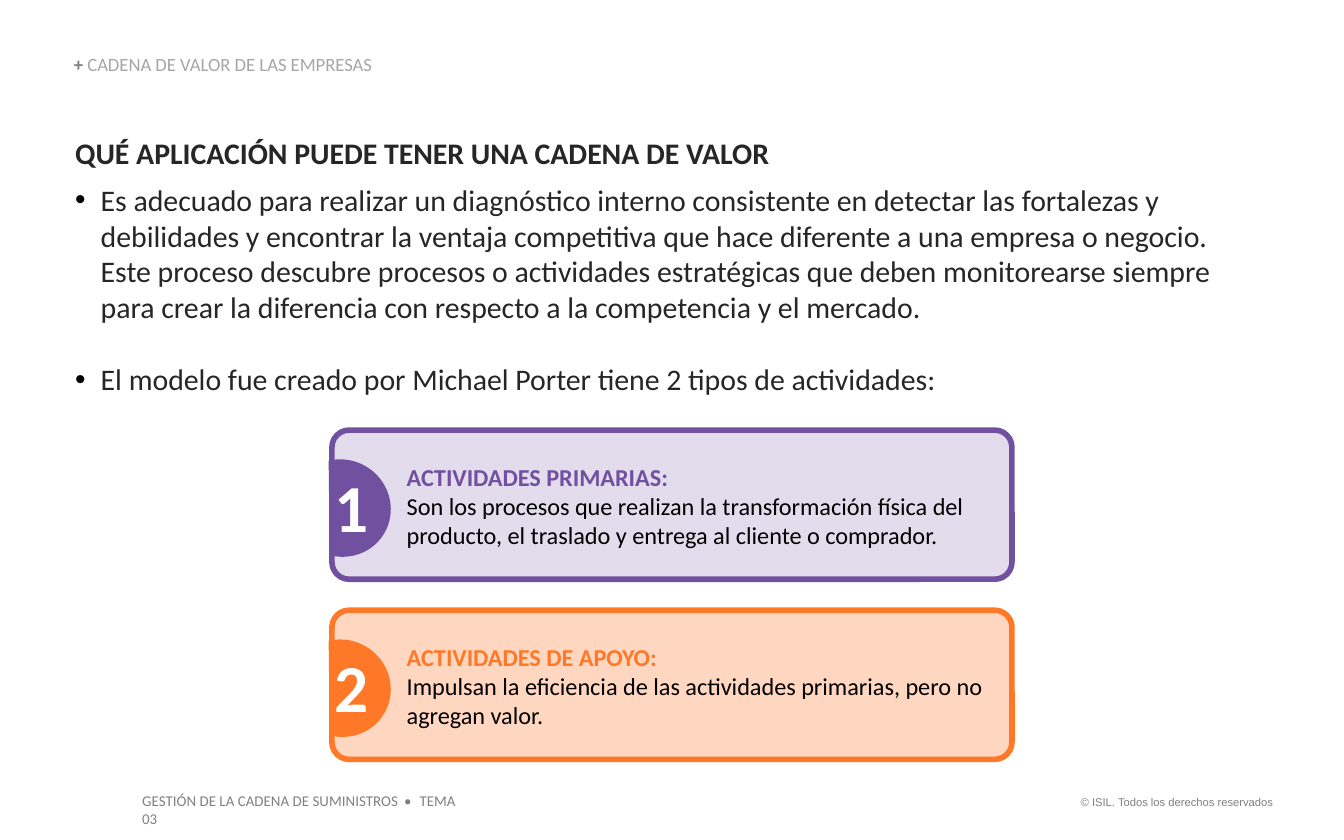
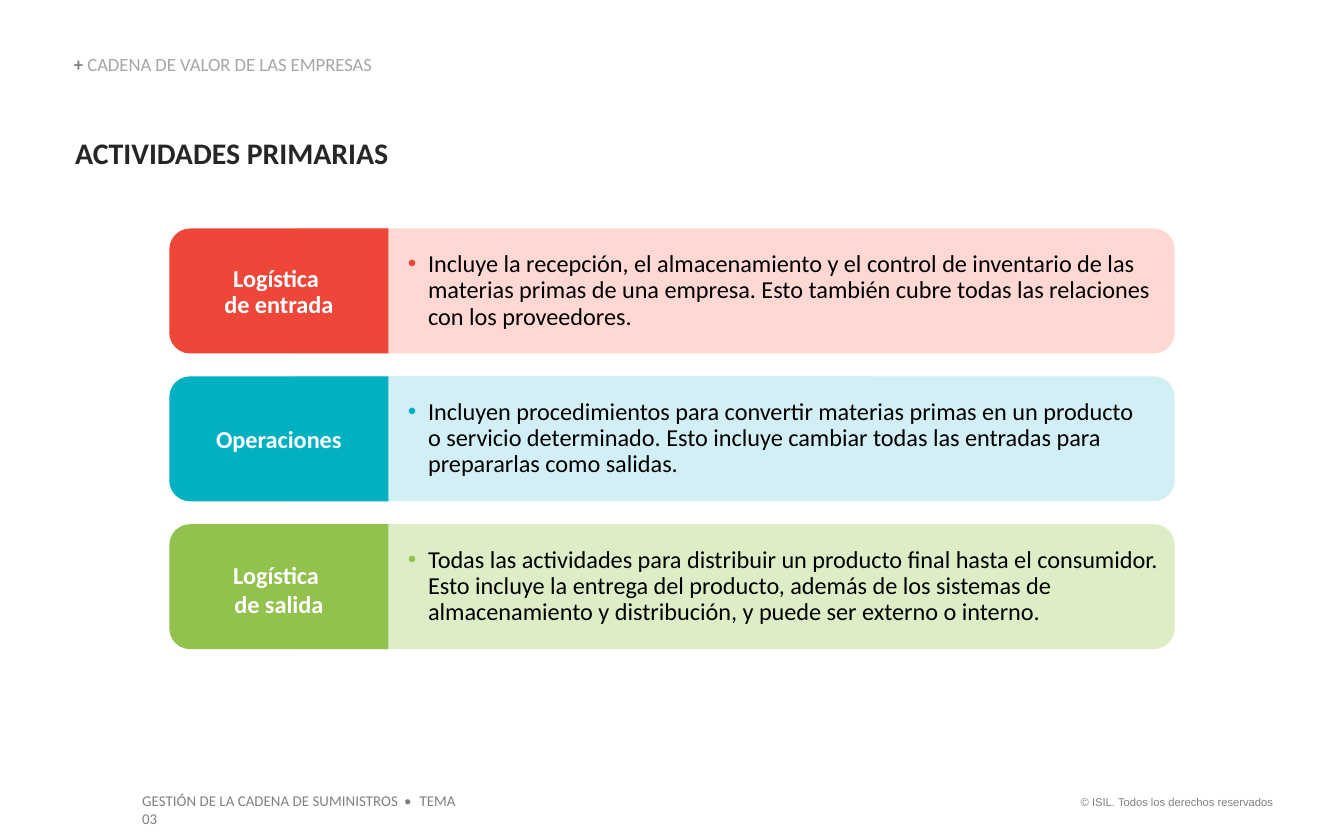
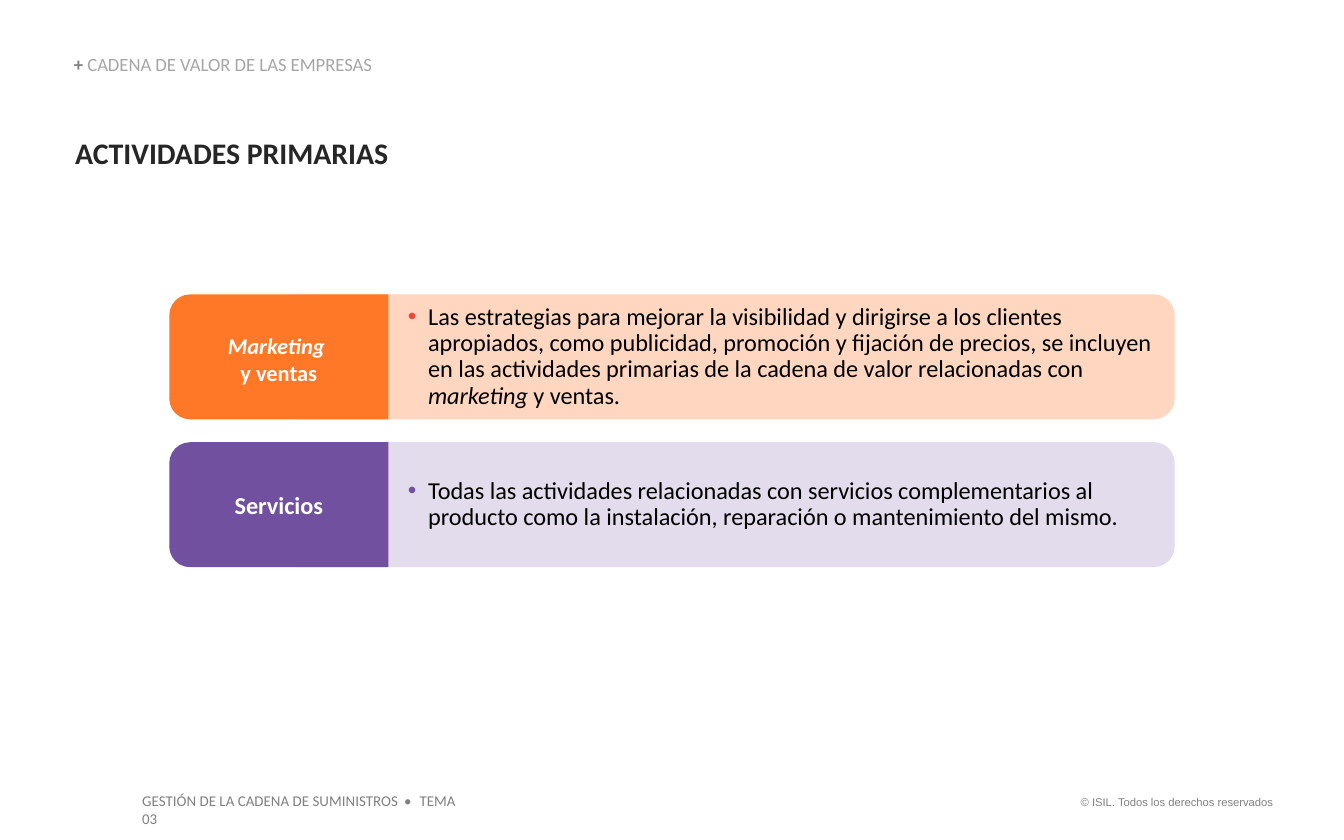
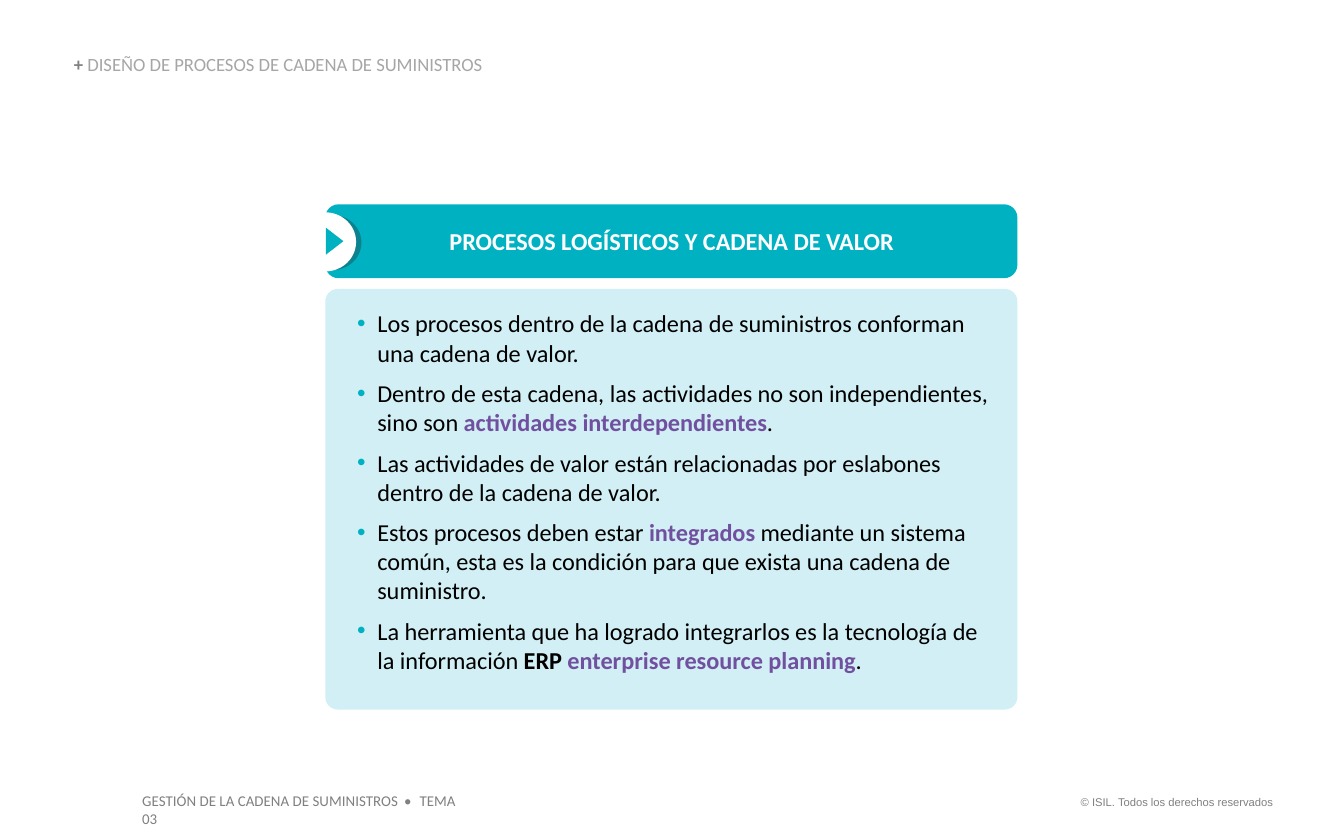
from lxml.etree import SubElement
from pptx import Presentation
from pptx.dml.color import RGBColor
from pptx.enum.shapes import MSO_SHAPE as Kind
from pptx.enum.text import MSO_ANCHOR as Anchor, PP_ALIGN as Align
from pptx.oxml.ns import qn
from pptx.util import Inches, Pt

WIDTH, HEIGHT = Inches(10), Inches(6.25)
CELL = WIDTH / 100  # the grid has 100 columns and 62.5 rows

COLORS = {
    "white": "FFFFFF", "black": "000000", "ink": "262626",
    "gray": "808080", "pale": "A6A6A6",
    "violet": "7150A0", "lilac": "E3DCED",
    "orange": "FE7828", "peach": "FFD7C1",
    "red": "EE4639", "pink": "FFD8D4",
    "teal": "00B1C2", "sky": "D1EFF4", "deep": "0B828E",
    "green": "92C14E", "mint": "DDEEC7",
}
KEY = {"color": "violet", "bold": True}
BOLD = {"bold": True}
ITALIC = {"italic": True}
TITLE = {"size": 16, "color": "ink", "bold": True}
LABEL = {"size": 13, "color": "white", "bold": True}
BODY = {"size": 13, "color": "black"}

BAR_H, BAR_PITCH, TAB_W = 9.3, 11, 16.3


def grid(*cells):
    return [round(cell * CELL) for cell in cells]


def rgb(name):
    return RGBColor.from_string(COLORS[name])


def set_font(font, size, color, name="Calibri", **flags):
    font.size, font.name = Pt(size), name
    font.color.rgb = rgb(color)
    for key, value in flags.items():
        setattr(font, key, value)


def indent(par, left, hang=0, bullet=None):
    """Set the left edge in cells, and a bullet in the named colour."""
    props = par._p.get_or_add_pPr()
    props.set("marL", str(grid(left)[0]))
    props.set("indent", str(grid(-hang)[0]))
    if bullet:
        tint = SubElement(props, qn("a:buClr"))
        SubElement(tint, qn("a:srgbClr"), val=COLORS[bullet])
        SubElement(props, qn("a:buFont"), typeface="Arial")
        SubElement(props, qn("a:buChar"), char="•")


def add_runs(par, parts, style):
    """Write strings, or (string, style changes) pairs; \\n breaks the line."""
    for part in [parts] if isinstance(parts, str) else parts:
        text, extra = (part, {}) if isinstance(part, str) else part
        look = {**style, **extra}
        for i, line in enumerate(text.split("\n")):
            if i:
                par.add_line_break()
                SubElement(par._p[-1], qn("a:rPr"), sz=str(look["size"] * 100))
            if line:
                run = par.add_run()
                run.text = line
                set_font(run.font, **look)


def add_par(frame, parts, style, left=0, hang=0, bullet=None, **form):
    first = frame.paragraphs[0]
    par = frame.add_paragraph() if first.runs else first
    if left:
        indent(par, left, hang, bullet)
    for key, value in form.items():
        setattr(par, key, value)
    add_runs(par, parts, style)
    return par


def set_frame(frame, inset=(0, 0, 0, 0), anchor=Anchor.TOP):
    frame.word_wrap = True
    frame.vertical_anchor = anchor
    for side, value in zip(("left", "top", "right", "bottom"), grid(*inset)):
        setattr(frame, f"margin_{side}", value)
    return frame


def add_text(slide, place, **form):
    return set_frame(slide.shapes.add_textbox(*grid(*place)).text_frame, **form)


def add_form(slide, kind, place, fill, turn=0, line=None, adjust=()):
    form = slide.shapes.add_shape(kind, *grid(*place))
    form.shadow.inherit = False
    form.rotation = turn
    form.fill.solid()
    form.fill.fore_color.rgb = rgb(fill)
    if line:
        form.line.color.rgb, form.line.width = rgb(line), Pt(3)
    else:
        form.line.fill.background()
    for i, value in enumerate(adjust):
        form.adjustments[i] = value
    return form


def add_base(deck, topic):
    """Add a slide with the topic line and the footers."""
    slide = deck.slides.add_slide(deck.slide_layouts[6])
    pad = (1, 0.5, 1, 0.5)
    small = {"size": 6, "color": "gray", "name": "Arial"}
    foot = {"size": 8, "color": "gray"}
    add_par(add_text(slide, (78.8, 58.7, 16.9, 2), inset=pad),
            "© ISIL. Todos los derechos reservados", small, alignment=Align.RIGHT)
    par = add_par(add_text(slide, (9.6, 58.4, 26.6, 2.4), inset=pad),
                  ["GESTIÓN DE LA CADENA DE SUMINISTROS", " • ", "TEMA 03"], foot)
    par.runs[1].font._element.set("spc", "120")
    add_par(add_text(slide, (5.5, 4.1, 46.5, 1.5), anchor=Anchor.BOTTOM),
            [("+ ", {"color": "gray", "bold": True}), topic],
            {"size": 10, "color": "pale"}, line_spacing=0.9)
    return slide


def add_title(slide, text, width=29.3, height=2.7):
    frame = add_text(slide, (5.5, 10, width, height))
    add_par(frame, text, TITLE, left=0.1, space_after=Pt(6))
    return frame


def add_card(slide, top, number, head, text, color, fill):
    card = add_form(slide, Kind.ROUNDED_RECTANGLE, (24.7, top, 50.6, 11.1),
                    fill, line=color, adjust=[0.115])
    frame = set_frame(card.text_frame, inset=(5.1, 2, 0.4, 0.5))
    for words, look in ((head, {"color": color, "bold": True}), (text, {})):
        add_par(frame, words, {**BODY, **look}, left=0.1, alignment=Align.LEFT)
    add_form(slide, Kind.CHORD, (21.7, top + 2.2, 7.4, 7.2), color,
             turn=210, adjust=[27, 152.33])
    add_par(add_text(slide, (23.9, top + 2.1, 4.1, 7.1), inset=(1, 0.5, 1, 0.5)),
            number, {**LABEL, "size": 36})


def add_bar(slide, top, label, drop, text, color, fill, dot=None, look=None, lead=None):
    """Add a described activity; drop is the gap above its label."""
    bar = add_form(slide, Kind.ROUNDED_RECTANGLE, (20.5, top, 66.9, BAR_H), fill)
    frame = set_frame(bar.text_frame, (9.4, 0, 0, 0), Anchor.MIDDLE)
    add_par(frame, text, BODY, left=1.5, hang=1.5, bullet=dot or color,
            line_spacing=0.9, alignment=Align.LEFT)
    shift = (TAB_W - BAR_H) / 2
    add_form(slide, Kind.ROUND_2_SAME_RECTANGLE,
             (12.6 + shift, top - shift, BAR_H, TAB_W), color, turn=270)
    rows = 1 + "".join(p if isinstance(p, str) else p[0] for p in label).count("\n")
    add_par(add_text(slide, (12.6, top + drop, TAB_W, 2.2 * rows)),
            label, {**LABEL, **(look or {})}, alignment=Align.CENTER, line_spacing=lead)


def add_bars(slide, top, bars):
    for i, bar in enumerate(bars):
        add_bar(slide, top + i * BAR_PITCH, **bar)


def add_panel(slide, head, points):
    band = add_form(slide, Kind.ROUNDED_RECTANGLE, (24.2, 15.2, 51.5, 5.5),
                    "teal", adjust=[0.18])
    add_par(set_frame(band.text_frame, (1, 0.5, 1, 0.5), Anchor.MIDDLE),
            head, LABEL, alignment=Align.CENTER)
    panel = add_form(slide, Kind.ROUNDED_RECTANGLE, (24.2, 21.5, 51.5, 31.3),
                     "sky", adjust=[0.03])
    frame = set_frame(panel.text_frame, (1.2, 1.2, 1.2, 0.5))
    for point in points:
        add_par(frame, point, BODY, left=2.4, hang=1.5, bullet="teal",
                space_after=Pt(6), alignment=Align.LEFT)
    add_form(slide, Kind.OVAL, (22.6, 16, 4.3, 4.1), "deep")
    add_form(slide, Kind.OVAL, (21.9, 15.8, 4.6, 4.4), "white")
    add_form(slide, Kind.ISOSCELES_TRIANGLE, (23.9, 17.3, 2, 1.3), "teal", turn=90)


def main():
    deck = Presentation()
    deck.slide_width, deck.slide_height = WIDTH, HEIGHT
    chain = "CADENA DE VALOR DE LAS EMPRESAS"

    slide = add_base(deck, chain)
    frame = add_title(slide, "QUÉ APLICACIÓN PUEDE TENER UNA CADENA DE VALOR", 86.6, 19.7)
    plain = {**TITLE, "bold": False}
    point = {"left": 2, "hang": 1.9, "bullet": "black"}
    add_par(frame, "Es adecuado para realizar un diagnóstico interno consistente en detectar "
            "las fortalezas y debilidades y encontrar la ventaja competitiva que hace diferente "
            "a una empresa o negocio. Este proceso descubre procesos o actividades estratégicas "
            "que deben monitorearse siempre para crear la diferencia con respecto a la "
            "competencia y el mercado.", plain, **point)
    add_par(frame, "El modelo fue creado por Michael Porter tiene 2 tipos de actividades:",
            plain, space_before=Pt(19.5), **point)
    add_card(slide, 32, "1", "ACTIVIDADES PRIMARIAS:",
             "Son los procesos que realizan la transformación física del producto, "
             "el traslado y entrega al cliente o comprador.", "violet", "lilac")
    add_card(slide, 45.4, "2", "ACTIVIDADES DE APOYO:",
             "Impulsan la eficiencia de las actividades primarias, pero no agregan valor.",
             "orange", "peach")

    slide = add_base(deck, chain)
    add_title(slide, "ACTIVIDADES PRIMARIAS")
    add_bars(slide, 17, [
        {"label": "Logística \nde entrada", "drop": 2.8, "color": "red", "fill": "pink",
         "lead": 0.9,
         "text": "Incluye la recepción, el almacenamiento y el control de inventario de las "
                 "materias primas de una empresa. Esto también cubre todas las relaciones "
                 "con los proveedores."},
        {"label": "Operaciones", "drop": 3.6, "color": "teal", "fill": "sky",
         "text": "Incluyen procedimientos para convertir materias primas en un producto \n"
                 "o servicio determinado. Esto incluye cambiar todas las entradas para "
                 "prepararlas como salidas."},
        {"label": "Logística \nde salida", "drop": 2.7, "color": "green", "fill": "mint",
         "text": "Todas las actividades para distribuir un producto final hasta el consumidor. "
                 "Esto incluye la entrega del producto, además de los sistemas de "
                 "almacenamiento y distribución, y puede ser externo o interno."},
    ])

    slide = add_base(deck, chain)
    add_title(slide, "ACTIVIDADES PRIMARIAS")
    add_bars(slide, 21.9, [
        {"label": [("Marketing \n", ITALIC), "y ventas"], "drop": 2.8, "color": "orange",
         "fill": "peach", "dot": "red", "look": {"size": 12},
         "text": ["Las estrategias para mejorar la visibilidad y dirigirse a los clientes "
                  "apropiados, como publicidad, promoción y fijación de precios, se incluyen "
                  "en las actividades primarias de la cadena de valor relacionadas con ",
                  ("marketing", ITALIC), " y ventas."]},
        {"label": "Servicios", "drop": 3.6, "color": "violet", "fill": "lilac",
         "text": "Todas las actividades relacionadas con servicios complementarios al "
                 "producto como la instalación, reparación o mantenimiento del mismo."},
    ])

    slide = add_base(deck, "DISEÑO DE PROCESOS DE CADENA DE SUMINISTROS")
    add_panel(slide, "PROCESOS LOGÍSTICOS Y CADENA DE VALOR", [
        "Los procesos dentro de la cadena de suministros conforman una cadena de valor.",
        ["Dentro de esta cadena, las actividades no son independientes, sino son ",
         ("actividades interdependientes", KEY), "."],
        "Las actividades de valor están relacionadas por eslabones dentro de la cadena de valor.",
        ["Estos procesos deben estar ", ("integrados", KEY),
         " mediante un sistema común, esta es la condición para que exista una cadena "
         "de suministro."],
        ["La herramienta que ha logrado integrarlos es la tecnología de la información ",
         ("ERP ", BOLD), ("enterprise resource planning", KEY), "."],
    ])
    deck.save("out.pptx")


if __name__ == "__main__":
    main()
